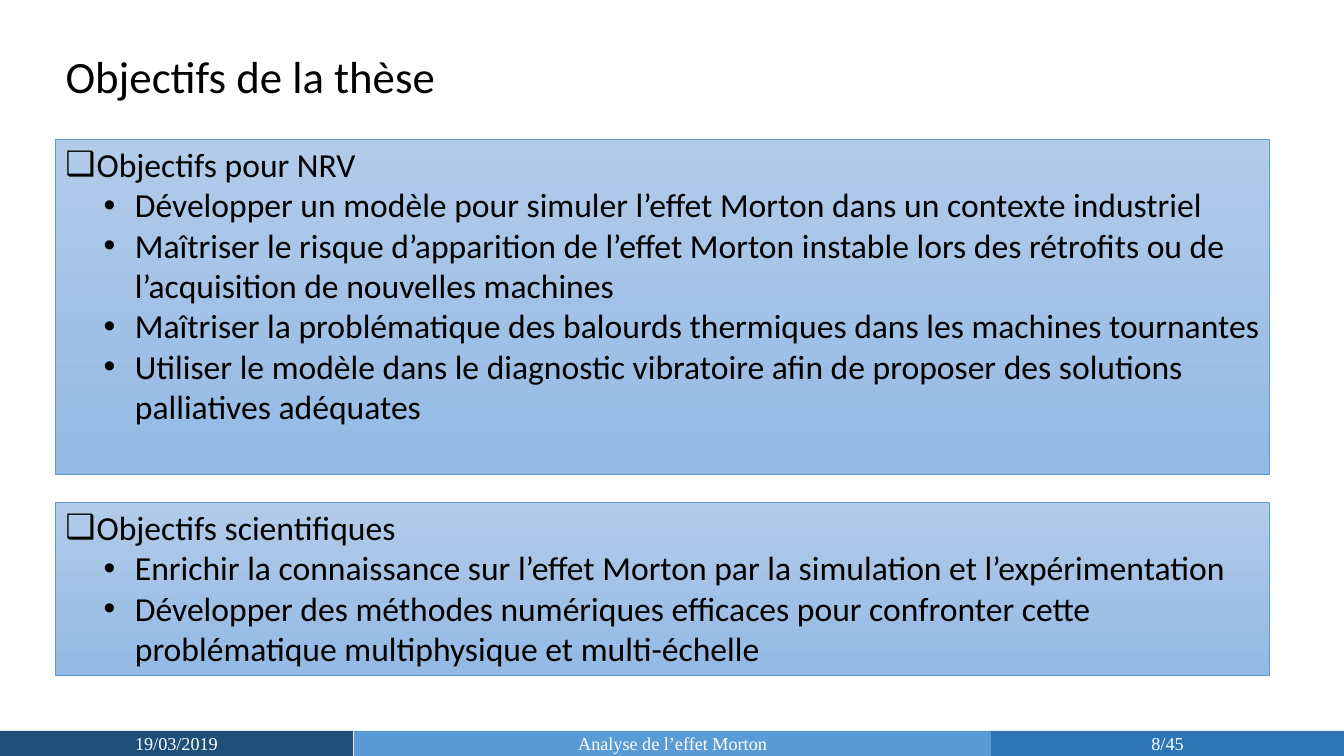
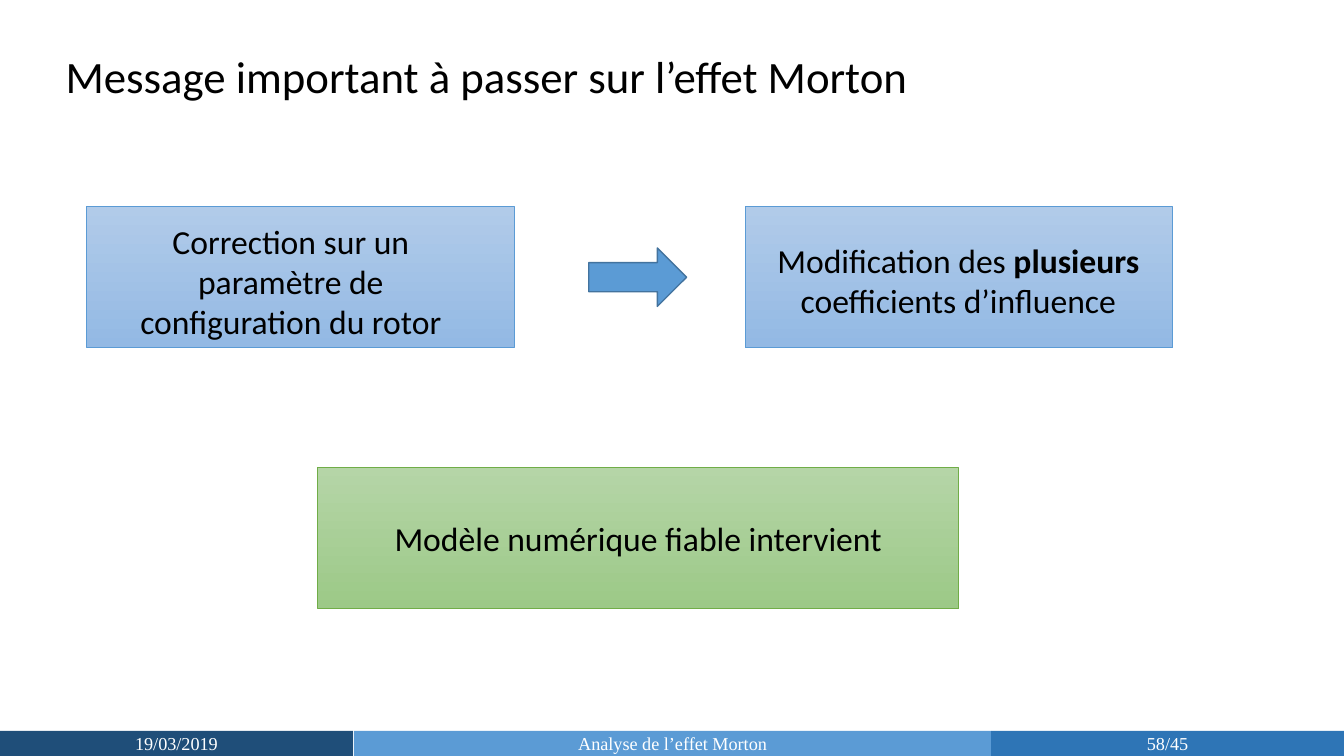
"""Builds two thesis slides on the Morton effect."""
from lxml.etree import SubElement
from pptx import Presentation
from pptx.dml.color import RGBColor
from pptx.enum.shapes import MSO_SHAPE
from pptx.enum.text import MSO_ANCHOR, MSO_AUTO_SIZE, PP_ALIGN
from pptx.oxml.ns import qn
from pptx.util import Inches, Pt

WIDTH, HEIGHT = 13.33, 7.5
BAND_HEIGHT, SIDE_BAND, BAND_GAP = 0.25, 3.5, 0.01
LEFT, PANEL_WIDTH = 0.55, 12.04
CARD_WIDTH, CARD_HEIGHT, CARD_TOP = 4.24, 1.4, 2.05
INSETS = (0.1, 0.05, 0.1, 0.05)

BLUE = {"top": "B1CBE9", "bottom": "93B9E4", "line": "5B9BD5"}
GREEN = {"top": "B5D5A7", "bottom": "9CC987", "line": "70AD47"}
ARROW = {"fill": "5B9BD5", "line": "43739E"}
TITLE_FONT = {"name": "Calibri", "size": Pt(32), "bold": False}
BODY_FONT = {"name": "Calibri", "size": Pt(24)}
BAND_FONT = {"name": "Times New Roman", "size": Pt(13)}
BULLETS = (("❑", 0.31), ("•", 0.69))
HANGING = 0.31

DATE, SUBJECT, TOTAL = "19/03/2019", "Analyse de l’effet Morton", 45

GOALS = {
    "title": "Objectifs de la thèse",
    "number": 8,
    "panels": [
        (1.38, 3.33, "Objectifs pour NRV", [
            "Développer un modèle pour simuler l’effet Morton dans un contexte industriel",
            "Maîtriser le risque d’apparition de l’effet Morton instable lors des rétrofits "
            "ou de l’acquisition de nouvelles machines",
            "Maîtriser la problématique des balourds thermiques dans les machines tournantes",
            "Utiliser le modèle dans le diagnostic vibratoire afin de proposer des solutions "
            "palliatives adéquates",
        ]),
        (4.98, 1.72, "Objectifs scientifiques", [
            "Enrichir la connaissance sur l’effet Morton par la simulation et l’expérimentation",
            "Développer des méthodes numériques efficaces pour confronter cette problématique "
            "multiphysique et multi-échelle",
        ]),
    ],
}

MESSAGE = {
    "title": "Message important à passer sur l’effet Morton",
    "number": 58,
    "cards": [
        ((0.86, CARD_TOP, CARD_WIDTH, CARD_HEIGHT), BLUE, MSO_ANCHOR.TOP, (0.23, 0.14, 0.42, 0),
         [("Correction sur un paramètre de configuration du rotor", False)]),
        ((7.39, CARD_TOP, CARD_WIDTH, CARD_HEIGHT), BLUE, MSO_ANCHOR.TOP, (0.27, 0.33, 0.28, 0.05),
         [("Modification des ", False), ("plusieurs", True),
          (" coefficients d’influence", False)]),
        ((3.15, 4.64, 6.36, CARD_HEIGHT), GREEN, MSO_ANCHOR.MIDDLE, INSETS,
         [("Modèle numérique fiable intervient", False)]),
    ],
    "arrow": (5.84, 2.46, 0.97, 0.58),
}


def rgb(code):
    """Turns a hex string into a colour."""
    return RGBColor.from_string(code)


def set_frame(box, anchor, insets=INSETS):
    """Sets wrapping, anchor and insets of a box and returns its text frame."""
    frame = box.text_frame
    sides = ("margin_left", "margin_top", "margin_right", "margin_bottom")
    layout = dict(zip(sides, map(Inches, insets)))
    layout.update(word_wrap=True, auto_size=MSO_AUTO_SIZE.NONE, vertical_anchor=anchor)
    for name, value in layout.items():
        setattr(frame, name, value)
    return frame


def write(para, runs, font, align=PP_ALIGN.LEFT, color="000000"):
    """Writes (text, bold) runs into a paragraph."""
    para.alignment = align
    for text, bold in runs:
        span = para.add_run()
        span.text = text
        for name, value in {**font, "bold": bold}.items():
            setattr(span.font, name, value)
        span.font.color.rgb = rgb(color)


def add_box(page, place, fill, line=None, line_width=1, kind=MSO_SHAPE.RECTANGLE):
    """Adds a flat shape with a solid fill and an optional outline."""
    box = page.shapes.add_shape(kind, *map(Inches, place))
    box.shadow.inherit = False
    box.fill.solid()
    box.fill.fore_color.rgb = rgb(fill)
    if line:
        box.line.color.rgb = rgb(line)
        box.line.width = Pt(line_width)
    else:
        box.line.fill.background()
    return box


def add_shaded_box(page, place, palette):
    """Adds a rectangle shaded from top to bottom."""
    box = add_box(page, place, palette["top"], palette["line"], 0.5)
    box.fill.gradient()
    box.fill.gradient_angle = 270
    for stop, key in zip(box.fill.gradient_stops, ("top", "bottom")):
        stop.color.rgb = rgb(palette[key])
    return box


def set_bullet(para, level):
    """Gives a paragraph the bullet and hanging indent of its level."""
    mark, indent = BULLETS[level]
    para.level = level
    properties = para._p.get_or_add_pPr()
    properties.set("marL", str(Inches(indent)))
    properties.set("indent", str(-Inches(HANGING)))
    SubElement(properties, qn("a:buFont"), typeface="Arial")
    SubElement(properties, qn("a:buChar"), char=mark)


def add_bands(page, number):
    """Adds the three footer bands."""
    middle = SIDE_BAND + BAND_GAP
    right = WIDTH - SIDE_BAND
    bands = [
        (0, SIDE_BAND, "1F4E79", DATE),
        (middle, right - middle, "5B9BD5", SUBJECT),
        (right, SIDE_BAND, "2E75B6", f"{number}/{TOTAL}"),
    ]
    for left, width, fill, text in bands:
        band = add_box(page, (left, HEIGHT - BAND_HEIGHT, width, BAND_HEIGHT), fill)
        frame = set_frame(band, MSO_ANCHOR.MIDDLE, (0.1, 0, 0.1, 0))
        write(frame.paragraphs[0], [(text, False)], BAND_FONT, PP_ALIGN.CENTER, "FFFFFF")


def add_page(deck, content):
    """Adds a slide with its title and footer."""
    page = deck.slides.add_slide(deck.slide_layouts.get_by_name("Title Only"))
    title = page.shapes.title
    place = zip(("left", "top", "width", "height"), (LEFT, 0.43, 12.24, 0.64))
    for name, value in place:
        setattr(title, name, Inches(value))
    frame = set_frame(title, MSO_ANCHOR.TOP)
    write(frame.paragraphs[0], [(content["title"], False)], TITLE_FONT)
    add_bands(page, content["number"])
    return page


def add_panel(page, top, height, heading, points):
    """Adds a shaded panel with a heading and bullet points."""
    panel = add_shaded_box(page, (LEFT, top, PANEL_WIDTH, height), BLUE)
    frame = set_frame(panel, MSO_ANCHOR.TOP, (0.1, 0.05, 0.05, 0.05))
    for index, text in enumerate([heading, *points]):
        para = frame.add_paragraph() if index else frame.paragraphs[0]
        set_bullet(para, min(index, 1))
        write(para, [(text, False)], BODY_FONT)


def add_card(page, place, palette, anchor, insets, runs):
    """Adds a shaded card with centred text."""
    frame = set_frame(add_shaded_box(page, place, palette), anchor, insets)
    write(frame.paragraphs[0], runs, BODY_FONT, PP_ALIGN.CENTER)


def main():
    """Builds and saves the deck."""
    deck = Presentation()
    deck.slide_width, deck.slide_height = Inches(WIDTH), Inches(HEIGHT)
    goals = add_page(deck, GOALS)
    for panel in GOALS["panels"]:
        add_panel(goals, *panel)
    message = add_page(deck, MESSAGE)
    for card in MESSAGE["cards"]:
        add_card(message, *card)
    add_box(message, MESSAGE["arrow"], **ARROW, kind=MSO_SHAPE.RIGHT_ARROW)
    deck.save("out.pptx")


if __name__ == "__main__":
    main()
